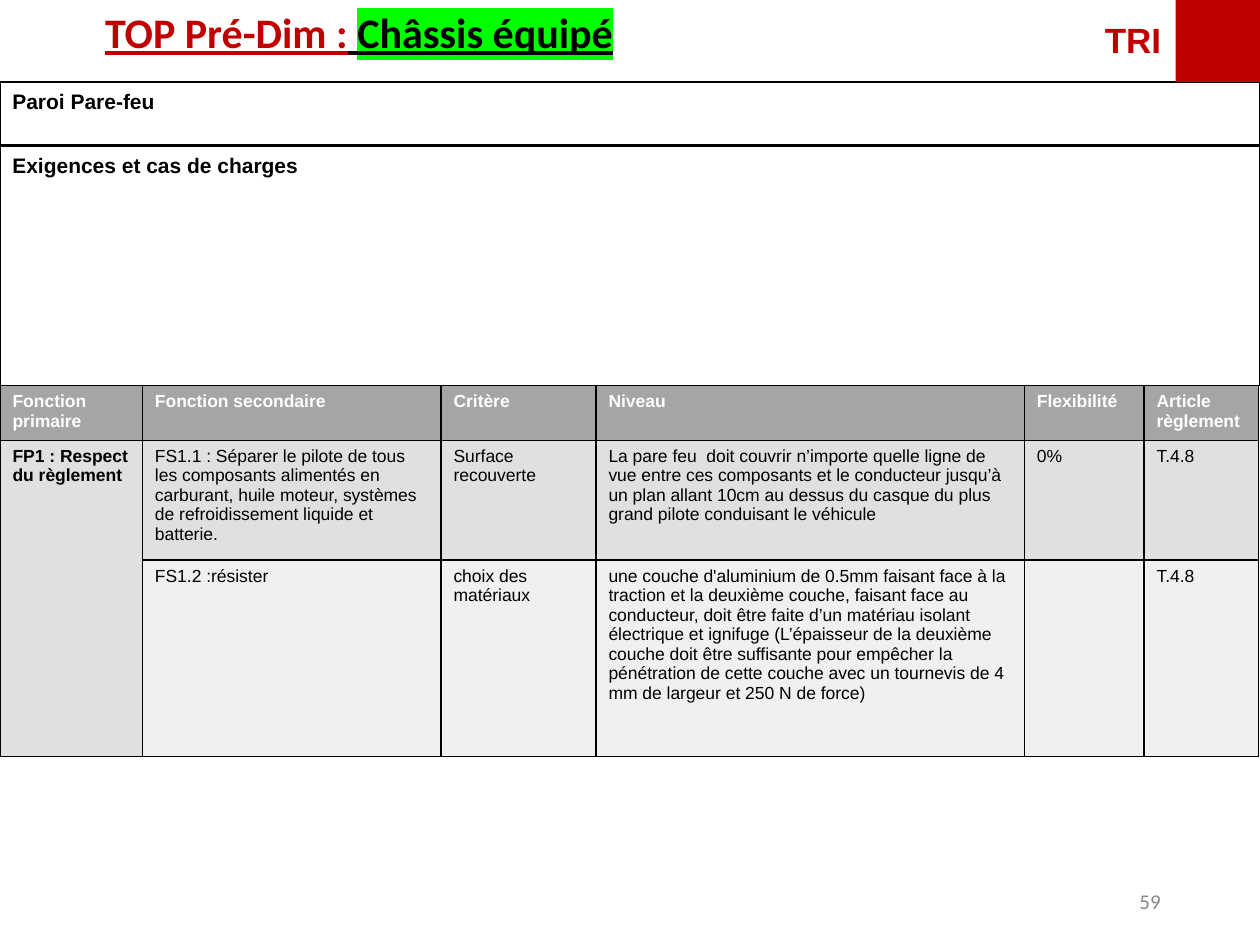
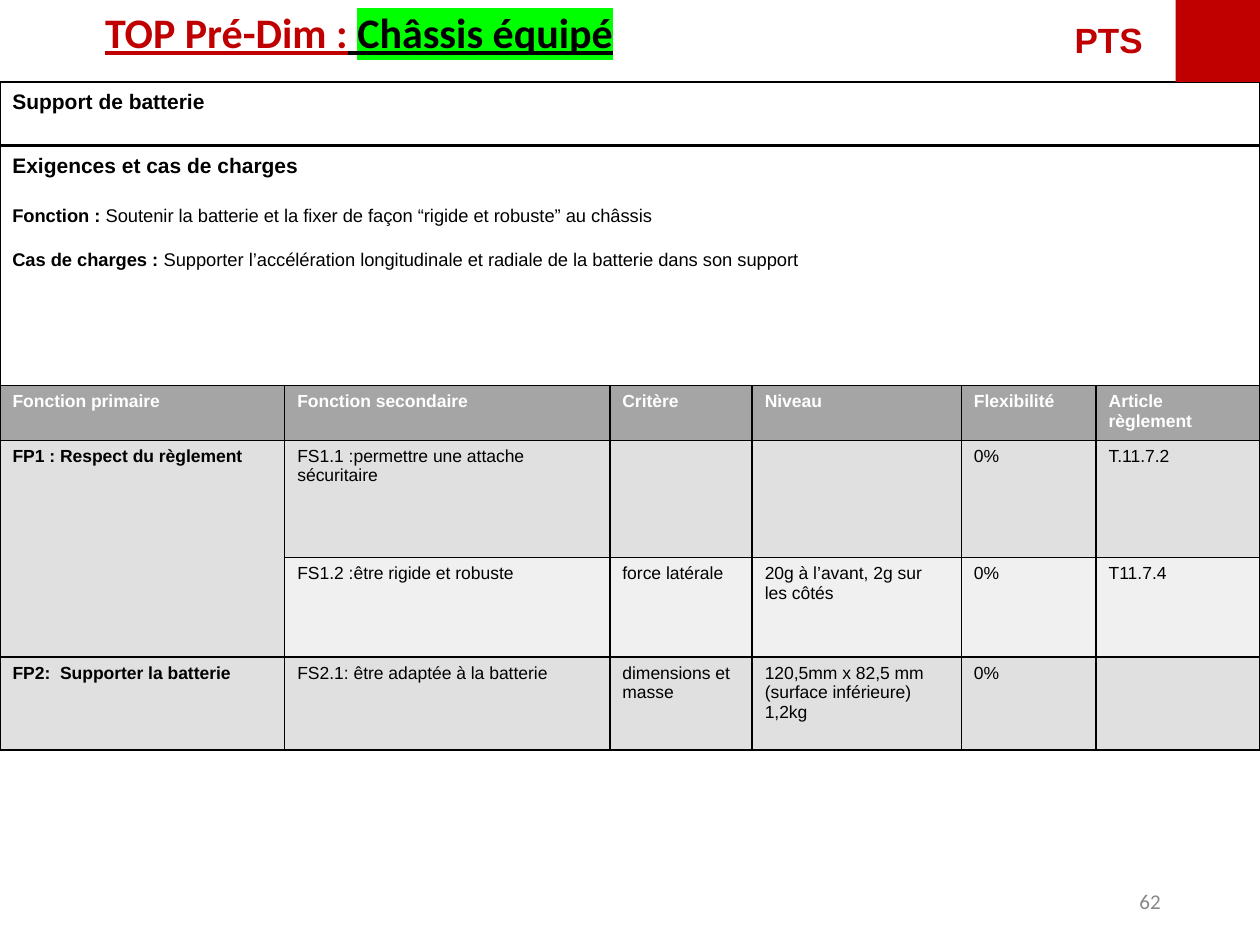
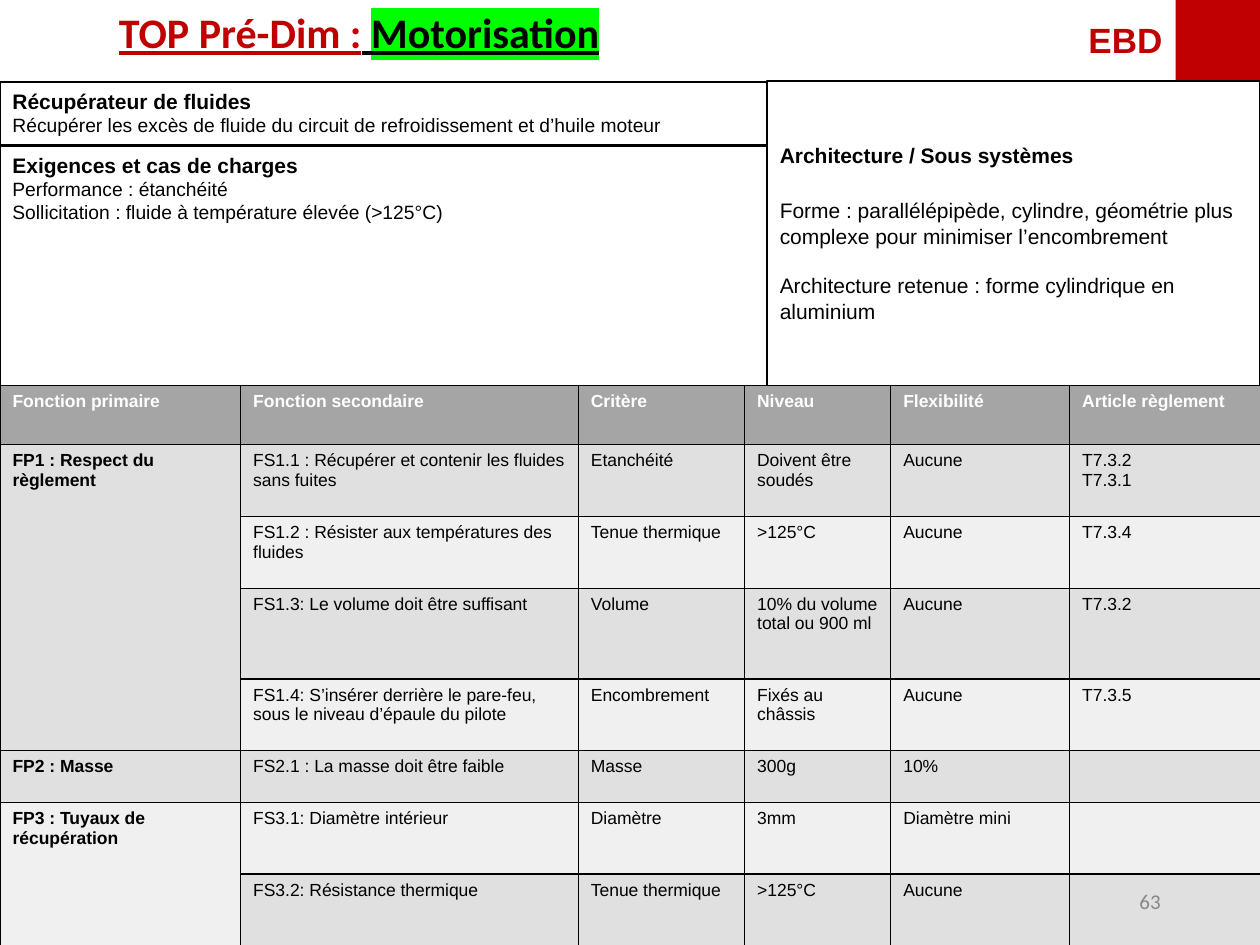
from dataclasses import dataclass, field

from lxml.etree import SubElement
from pptx import Presentation
from pptx.dml.color import RGBColor
from pptx.enum.shapes import MSO_SHAPE as Shape
from pptx.enum.text import MSO_ANCHOR as Anchor, MSO_AUTO_SIZE as AutoSize, PP_ALIGN as Align
from pptx.oxml.ns import qn
from pptx.util import Inches, Pt

WIDTH, HEIGHT = Inches(10), Inches(7.5)
COLUMNS, ROWS = 100, 75


def style(size, color="000000", name="Arial", **extra):
    return dict(size=Pt(size), color=color, name=name, **extra)


@dataclass(frozen=True)
class Theme:
    red: str = "C00000"
    black: str = "000000"
    highlight: str = "00FF00"
    header: str = "A5A5A5"
    bands: tuple = ("E0E0E0", "F0F0F0")
    line_width: float = 1
    text: dict = field(default_factory=lambda: {
        "title": style(24, "C00000", "Calibri", bold=True, underline=True),
        "subject": style(24, name="Calibri", bold=True, underline=True),
        "author": style(20, "C00000", bold=True),
        "heading": style(12, bold=True),
        "large": style(12, bold=False),
        "detail": style(11, bold=False),
        "term": style(10.5, bold=True),
        "note": style(10.5, bold=False),
        "header": style(10, "FFFFFF", bold=True),
        "function": style(10, bold=True),
        "cell": style(10, bold=False),
        "number": style(12, "888888", "Calibri"),
    })


@dataclass(frozen=True)
class Line:
    """One paragraph: (text, style name) runs and the space before it in points."""
    runs: tuple
    gap: float = 0


def line(text, style_name, gap=0):
    return Line(((text, style_name),), gap)


class Deck:
    def __init__(self, theme):
        self.theme = theme
        self.presentation = Presentation()
        self.presentation.slide_width, self.presentation.slide_height = WIDTH, HEIGHT
        self.slide = None

    def place(self, left, top, width, height):
        """Turn grid columns and rows into slide lengths."""
        across, down = WIDTH / COLUMNS, HEIGHT / ROWS
        return [round(n) for n in (left * across, top * down, width * across, height * down)]

    def fill_text(self, frame, lines, align=Align.LEFT, **frame_format):
        for key, value in {"word_wrap": True, **frame_format}.items():
            setattr(frame, key, value)
        for index, content in enumerate(lines):
            paragraph = frame.add_paragraph() if index else frame.paragraphs[0]
            paragraph.alignment = align
            if content.gap:
                paragraph.space_before = Pt(content.gap)
            for text, style_name in content.runs:
                run = paragraph.add_run()
                run.text = text
                for key, value in self.theme.text[style_name].items():
                    if key == "color":
                        run.font.color.rgb = RGBColor.from_string(value)
                    else:
                        setattr(run.font, key, value)

    def new_slide(self, subject):
        self.slide = self.presentation.slides.add_slide(self.presentation.slide_layouts[5])
        title = self.slide.shapes.title
        title.left, title.top, title.width, title.height = self.place(0, 0, 57, 5)
        runs = (("TOP Pré-Dim :", "title"), (" ", "subject"), (subject, "subject"))
        self.fill_text(title.text_frame, [Line(runs)], Align.CENTER,
                       auto_size=AutoSize.NONE, vertical_anchor=Anchor.TOP)
        self.highlight(title.text_frame.paragraphs[0].runs[-1])

    def highlight(self, run):
        properties = run._r.get_or_add_rPr()
        mark = SubElement(properties, qn("a:highlight"))
        SubElement(mark, qn("a:srgbClr"), val=self.theme.highlight)
        properties.find(qn("a:solidFill")).addnext(mark)

    def rectangle(self, *grid, fill=None):
        shape = self.slide.shapes.add_shape(Shape.RECTANGLE, *self.place(*grid))
        shape.shadow.inherit = False
        if fill:
            shape.fill.solid()
            shape.fill.fore_color.rgb = RGBColor.from_string(fill)
            shape.line.fill.background()
        else:
            shape.fill.background()
            shape.line.color.rgb = RGBColor.from_string(self.theme.black)
            shape.line.width = Pt(self.theme.line_width)
        return shape

    def panel(self, *grid, lines, anchor=Anchor.TOP):
        self.fill_text(self.rectangle(*grid).text_frame, lines, vertical_anchor=anchor)

    def label(self, *grid, content, align=Align.LEFT, **frame_format):
        box = self.slide.shapes.add_textbox(*self.place(*grid))
        self.fill_text(box.text_frame, [content], align, **frame_format)

    def corner(self, author, left):
        self.label(left, 1, 93.3 - left, 4.4, content=line(author, "author"), margin_right=0)
        self.rectangle(93.3, 0, 6.7, 6.5, fill=self.theme.red)

    def page_number(self, number):
        self.label(70.6, 69.5, 22.5, 4, content=line(str(number), "number"),
                   align=Align.RIGHT, vertical_anchor=Anchor.MIDDLE)

    def cell(self, cell, text, style_name, fill):
        properties = cell._tc.get_or_add_tcPr()
        for side in "LRTB":
            border = SubElement(properties, qn(f"a:ln{side}"), w=str(Pt(self.theme.line_width)))
            SubElement(SubElement(border, qn("a:solidFill")), qn("a:srgbClr"), val=self.theme.black)
        cell.fill.solid()
        cell.fill.fore_color.rgb = RGBColor.from_string(fill)
        if text:
            self.fill_text(cell.text_frame, [line(part, style_name) for part in text.split("\n")])

    def requirements(self, widths, heights, rows):
        """Table of functions; None in the first column continues the cell above."""
        header = ("Fonction primaire", "Fonction secondaire", "Critère", "Niveau",
                  "Flexibilité", "Article règlement")
        grid = self.place(0, 30.6, sum(widths), sum(heights))
        table = self.slide.shapes.add_table(len(heights), len(widths), *grid).table
        for column, width in zip(table.columns, widths):
            column.width = round(width * WIDTH / COLUMNS)
        for row, height in zip(table.rows, heights):
            row.height = round(height * HEIGHT / ROWS)
        for index, text in enumerate(header):
            self.cell(table.cell(0, index), text, "header", self.theme.header)
        first = 1
        for number, row in enumerate(rows, 1):
            fill = self.theme.bands[(number - 1) % 2]
            for index, text in enumerate(row):
                self.cell(table.cell(number, index), text, "cell" if index else "function", fill)
            if row[0] is not None:
                first = number
            elif number == len(rows) or rows[number][0] is not None:
                table.cell(first, 0).merge(table.cell(number, 0))


def part_panels(deck, width, part, demands):
    deck.panel(0, 6.5, width, 5, lines=part)
    deck.panel(0, 11.6, width, 19, lines=[line("Exigences et cas de charges", "heading"), *demands])


def firewall_slide(deck):
    deck.new_slide("Châssis équipé")
    part_panels(deck, 100, [line("Paroi Pare-feu", "heading")], [])
    deck.corner("TRI", 86.7)
    deck.requirements((11.3, 23.7, 12.3, 34, 9.5, 9.1), (4.1, 9.5, 15.6), [
        ("FP1 : Respect du règlement",
         "FS1.1 : Séparer le pilote de tous les composants alimentés en carburant, huile moteur, "
         "systèmes de refroidissement liquide et batterie.",
         "Surface recouverte",
         "La pare feu  doit couvrir n’importe quelle ligne de vue entre ces composants et le "
         "conducteur jusqu’à un plan allant 10cm au dessus du casque du plus grand pilote "
         "conduisant le véhicule",
         "0%", "T.4.8"),
        (None, "FS1.2 :résister", "choix des matériaux",
         "une couche d'aluminium de 0.5mm faisant face à la traction et la deuxième couche, "
         "faisant face au conducteur, doit être faite d’un matériau isolant électrique et ignifuge "
         "(L’épaisseur de la deuxième couche doit être suffisante pour empêcher la pénétration de "
         "cette couche avec un tournevis de 4 mm de largeur et 250 N de force)",
         "", "T.4.8"),
    ])
    deck.page_number(59)


def battery_slide(deck):
    deck.new_slide("Châssis équipé")
    part_panels(deck, 100, [line("Support de batterie", "heading")], [
        Line((("Fonction : ", "term"),
              ("Soutenir la batterie et la fixer de façon “rigide et robuste” au châssis", "note")),
             gap=15),
        Line((("Cas de charges : ", "term"),
              ("Supporter l’accélération longitudinale et radiale de la batterie dans son support",
               "note")), gap=13),
    ])
    deck.corner("PTS", 84.3)
    deck.requirements((22.6, 25.8, 11.3, 16.6, 10.7, 13), (4.1, 9.3, 7.9, 7.4), [
        ("FP1 : Respect du règlement", "FS1.1 :permettre une attache sécuritaire",
         "", "", "0%", "T.11.7.2"),
        (None, "FS1.2 :être rigide et robuste", "force latérale",
         "20g à l’avant, 2g sur les côtés", "0%", "T11.7.4"),
        ("FP2:  Supporter la batterie", "FS2.1: être adaptée à la batterie",
         "dimensions et masse", "120,5mm x 82,5 mm (surface inférieure)\n1,2kg", "0%", ""),
    ])
    deck.page_number(62)


def fluid_slide(deck):
    deck.new_slide("Motorisation")
    part_panels(deck, 60.9, [
        line("Récupérateur de fluides", "heading"),
        line("Récupérer les excès de fluide du circuit de refroidissement et d’huile moteur",
             "detail"),
    ], [
        line("Performance : étanchéité", "detail"),
        line("Sollicitation : fluide à température élevée (>125°C)", "detail"),
    ])
    deck.corner("EBD", 85.4)
    deck.panel(60.9, 6.4, 39.1, 24.2, anchor=Anchor.MIDDLE, lines=[
        line("Architecture / Sous systèmes", "heading"),
        line("Forme : parallélépipède, cylindre, géométrie plus complexe pour minimiser "
             "l’encombrement", "large", gap=17),
        line("Architecture retenue : forme cylindrique en aluminium", "large", gap=14),
    ])
    deck.requirements((19.1, 26.8, 13.2, 11.6, 14.2, 15.2),
                      (4.7, 5.7, 5.7, 7.2, 5.7, 4.1, 5.7, 5.7), [
        ("FP1 : Respect du règlement", "FS1.1 : Récupérer et contenir les fluides sans fuites",
         "Etanchéité", "Doivent être soudés", "Aucune", "T7.3.2\nT7.3.1"),
        (None, "FS1.2 : Résister aux températures des fluides",
         "Tenue thermique", ">125°C", "Aucune", "T7.3.4"),
        (None, "FS1.3: Le volume doit être suffisant",
         "Volume", "10% du volume total ou 900 ml", "Aucune", "T7.3.2"),
        (None, "FS1.4: S’insérer derrière le pare-feu, sous le niveau d’épaule du pilote",
         "Encombrement", "Fixés au châssis", "Aucune", "T7.3.5"),
        ("FP2 : Masse", "FS2.1 : La masse doit être faible", "Masse", "300g", "10%", ""),
        ("FP3 : Tuyaux de récupération", "FS3.1: Diamètre intérieur",
         "Diamètre", "3mm", "Diamètre mini", ""),
        (None, "FS3.2: Résistance thermique", "Tenue thermique", ">125°C", "Aucune", ""),
    ])
    deck.page_number(63)


def main():
    deck = Deck(Theme())
    for build in (firewall_slide, battery_slide, fluid_slide):
        build(deck)
    deck.presentation.save("out.pptx")


if __name__ == "__main__":
    main()
